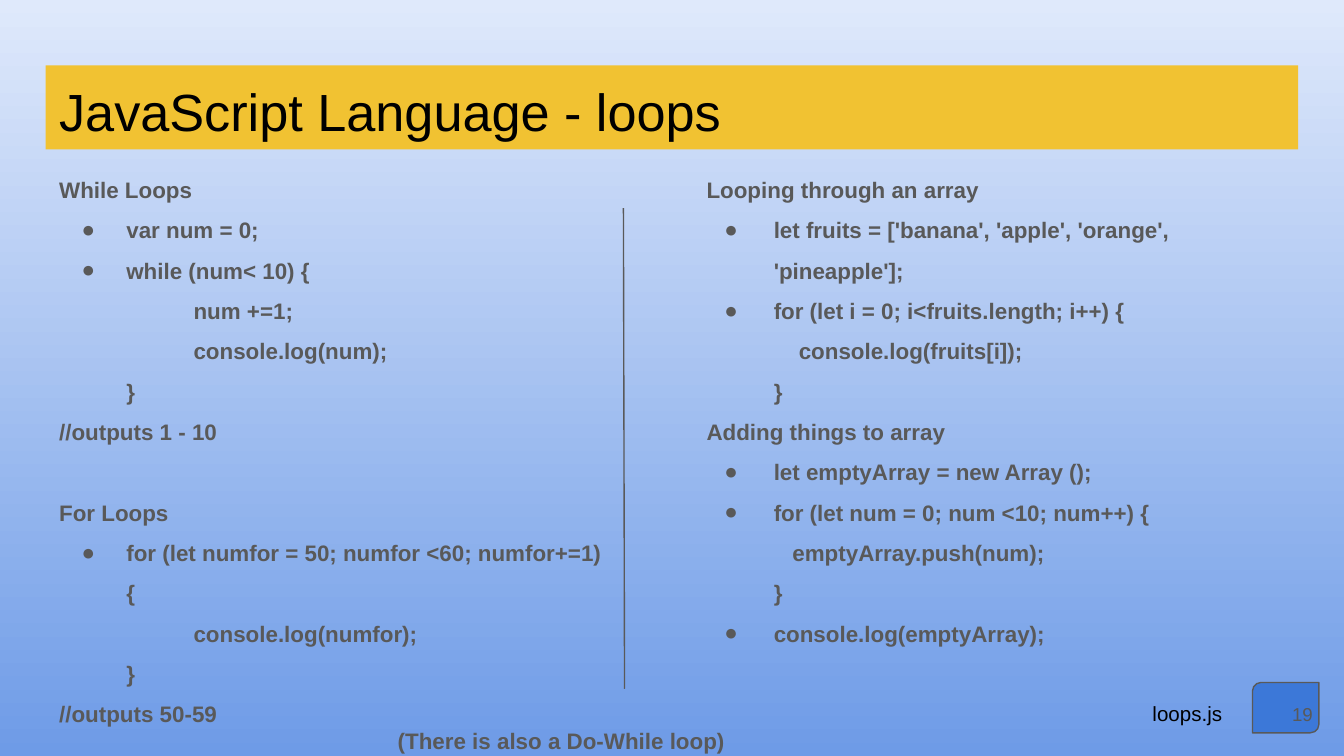
from dataclasses import dataclass
from pptx import Presentation
from pptx.dml.color import RGBColor
from pptx.enum.shapes import MSO_CONNECTOR, MSO_SHAPE
from pptx.enum.text import MSO_ANCHOR, MSO_AUTO_SIZE, PP_ALIGN
from pptx.oxml.ns import qn
from pptx.util import Pt
from lxml.etree import SubElement


@dataclass(frozen=True)
class Theme:
    font: str = "Arial"
    sky: str = "DFE9FB"
    sea: str = "6E9BE7"
    gold: str = "F1C232"
    blue: str = "3C78D8"
    gray: str = "595959"
    black: str = "000000"
    head: float = 28
    body: float = 12
    note: float = 11
    page: float = 10
    line: float = 0.75
    inset: float = 7.2
    lead: float = 1.5


class Deck:
    def __init__(self, theme, wide, high):
        self.theme = theme
        self.file = Presentation()
        self.file.slide_width, self.file.slide_height = Pt(wide), Pt(high)
        self.slide = self.file.slides.add_slide(self.file.slide_layouts[3])
        self.shapes = self.slide.shapes

    def color(self, code):
        return RGBColor.from_string(code)

    def back(self):
        fill = self.slide.background.fill
        fill.gradient()
        fill.gradient_angle = 270
        for stop, code in zip(fill.gradient_stops, (self.theme.sky, self.theme.sea)):
            stop.color.rgb = self.color(code)

    def place(self, shape, box):
        shape.left, shape.top, shape.width, shape.height = map(Pt, box)

    def frame(self, shape, text, anchor=MSO_ANCHOR.TOP):
        frame = shape.text_frame
        frame.text = text
        frame.word_wrap = True
        frame.auto_size = MSO_AUTO_SIZE.NONE
        frame.vertical_anchor = anchor
        frame.margin_left = frame.margin_right = Pt(self.theme.inset)
        frame.margin_top = frame.margin_bottom = Pt(self.theme.inset)
        return frame

    def style(self, para, size, code, bold=False, align=PP_ALIGN.LEFT, lead=1):
        para.alignment = align
        para.line_spacing = lead
        para.space_before = para.space_after = Pt(0)
        for run in para.runs:
            font = run.font
            font.name, font.size, font.bold = self.theme.font, Pt(size), bold
            font.color.rgb = self.color(code)

    def title(self, text, box):
        shape = self.shapes.title
        self.place(shape, box)
        shape.fill.solid()
        shape.fill.fore_color.rgb = self.color(self.theme.gold)
        frame = self.frame(shape, text)
        self.style(frame.paragraphs[0], self.theme.head, self.theme.black)

    def indent(self, para, left, hang):
        props = para._p.get_or_add_pPr()
        props.set("marL", str(Pt(left)))
        props.set("indent", str(Pt(-hang)))
        if hang:
            tint = SubElement(props, qn("a:buClr"))
            SubElement(tint, qn("a:srgbClr"), val=self.theme.gray)
            SubElement(props, qn("a:buFont"), typeface=self.theme.font)
            SubElement(props, qn("a:buChar"), char="●")
        else:
            SubElement(props, qn("a:buNone"))

    def list(self, slot, box, hang, rows):
        shape = self.slide.placeholders[slot]
        self.place(shape, box)
        frame = self.frame(shape, "\n".join(row[-1] for row in rows))
        for para, (kind, left, text) in zip(frame.paragraphs, rows):
            self.style(para, self.theme.body, self.theme.gray, True,
                       lead=self.theme.lead)
            if kind == "gap":
                para.space_before = Pt(21.6)
            self.indent(para, left, hang if kind == "dot" else 0)

    def label(self, text, box, size, code, anchor=MSO_ANCHOR.TOP, **look):
        shape = self.shapes.add_textbox(*map(Pt, box))
        frame = self.frame(shape, text, anchor)
        self.style(frame.paragraphs[0], size, code, **look)

    def stroke(self, shape):
        shape.line.color.rgb = self.color(self.theme.gray)
        shape.line.width = Pt(self.theme.line)

    def badge(self, box):
        shape = self.shapes.add_shape(MSO_SHAPE.ROUND_2_DIAG_RECTANGLE, *map(Pt, box))
        shape.adjustments[0], shape.adjustments[1] = 0.17, 0
        shape.shadow.inherit = False
        shape.fill.solid()
        shape.fill.fore_color.rgb = self.color(self.theme.blue)
        self.stroke(shape)

    def rule(self, *ends):
        line = self.shapes.add_connector(MSO_CONNECTOR.STRAIGHT, *map(Pt, ends))
        self.stroke(line)
        SubElement(line._element.spPr, qn("a:effectLst"))


def head(text):
    return "head", 0, text


def gap(text):
    return "gap", 0, text


def dot(text):
    return "dot", 36, text


def code(text, left=36):
    return "code", left, text


loops = [
    head("While Loops"),
    dot("var num = 0;"),
    dot("while (num< 10) {"),
    code("num +=1;", 72),
    code("console.log(num);", 72),
    code("}"),
    head("//outputs 1 - 10"),
    gap("For Loops"),
    dot("for (let numfor = 50; numfor <60; numfor+=1) {"),
    code("console.log(numfor);", 72),
    code("}"),
    head("//outputs 50-59"),
]
lists = [
    head("Looping through an array"),
    dot("let fruits = ['banana', 'apple', 'orange', 'pineapple'];"),
    dot("for (let i = 0; i<fruits.length; i++) {"),
    code("console.log(fruits[i]);", 49.4),
    code("}"),
    head("Adding things to array"),
    dot("let emptyArray = new Array ();"),
    dot("for (let num = 0; num <10; num++) {"),
    code("emptyArray.push(num);", 46),
    code("}"),
    dot("console.log(emptyArray);"),
]

theme = Theme()
deck = Deck(theme, 720, 405)
deck.back()
deck.title("JavaScript Language - loops", (24.5, 35, 671, 45))
deck.badge((671, 365.6, 35.6, 27))
deck.label("19", (667.4, 367.2, 43, 31), theme.page, theme.gray,
           MSO_ANCHOR.MIDDLE, align=PP_ALIGN.RIGHT)
deck.list(2, (371.3, 80, 317, 294), 26.5, lists)
deck.list(1, (24.5, 80, 311, 312.5), 24, loops)
deck.label("loops.js", (610.3, 368.6, 57, 28), theme.note, theme.black)
deck.rule(334, 111.5, 334.6, 369)
deck.label("(There is also a Do-While loop)", (206, 375, 273.6, 36.7),
           theme.body, theme.gray, bold=True, lead=theme.lead)
deck.file.save("out.pptx")
